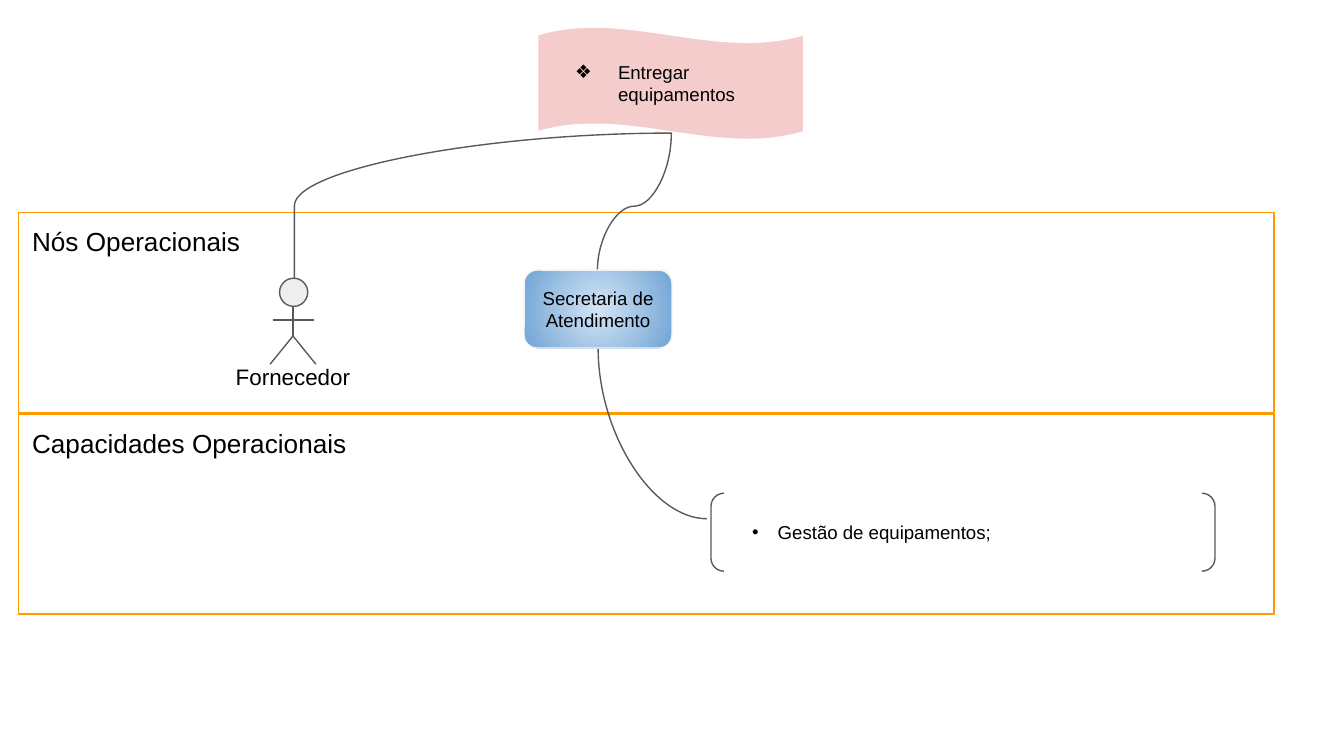
"""Build the slide relating equipment delivery to operational nodes and capabilities."""
from dataclasses import dataclass
from typing import Optional

import pptx
import pptx.dml.color
import pptx.enum.shapes
import pptx.enum.text
import pptx.oxml
import pptx.oxml.ns
import pptx.util

Inches = pptx.util.Inches
Pt = pptx.util.Pt
RGBColor = pptx.dml.color.RGBColor
Geometry = pptx.enum.shapes.MSO_SHAPE
Connector = pptx.enum.shapes.MSO_CONNECTOR
Anchor = pptx.enum.text.MSO_ANCHOR
Align = pptx.enum.text.PP_ALIGN
qn = pptx.oxml.ns.qn

FONT = "Arial"
BLACK = RGBColor(0x00, 0x00, 0x00)
WHITE = RGBColor(0xFF, 0xFF, 0xFF)
ORANGE = RGBColor(0xFF, 0x99, 0x00)
PINK = RGBColor(0xF4, 0xCC, 0xCC)
GRAY = RGBColor(0x59, 0x59, 0x59)
LIGHT_GRAY = RGBColor(0xEE, 0xEE, 0xEE)
PALE_GRAY = RGBColor(0xF3, 0xF3, 0xF3)
PALE_BLUE = RGBColor(0xD4, 0xE5, 0xF5)
BLUE = RGBColor(0x70, 0xA4, 0xD5)


@dataclass(frozen=True)
class Bullet:
    symbol: str
    margin: float
    indent: float


@dataclass(frozen=True)
class Block:
    geometry: Geometry
    left: float
    top: float
    width: float
    height: float
    line: RGBColor
    fill: Optional[RGBColor] = None
    text: str = ""
    size: int = 10
    anchor: Anchor = Anchor.MIDDLE
    align: Align = Align.LEFT
    bullet: Optional[Bullet] = None
    adjustment: Optional[float] = None


@dataclass(frozen=True)
class Curve:
    left: float
    top: float
    width: float
    height: float
    rotation: int
    flipped: bool
    preset: str = "curvedConnector3"
    bend: Optional[int] = None


LANE_HEIGHT = 1.49
LANES = [
    Block(Geometry.RECTANGLE, 0.14, top, 9.34, LANE_HEIGHT, ORANGE,
          text=title, size=14, anchor=Anchor.TOP)
    for top, title in ((1.58, "Nós Operacionais"), (3.08, "Capacidades Operacionais"))
]
DELIVERY = Block(Geometry.WAVE, 4, 0.2, 1.98, 0.84, WHITE, PINK, "Entregar equipamentos",
                 bullet=Bullet("❖", 0.5, -0.32), adjustment=0.07)
HEAD = Block(Geometry.FLOWCHART_CONNECTOR, 2.08, 2.07, 0.21, 0.21, GRAY, LIGHT_GRAY)
LIMBS = [
    (2.18, 2.28, 2.18, 2.5),
    (2.03, 2.38, 2.34, 2.38),
    (2.18, 2.5, 2.01, 2.71),
    (2.18, 2.5, 2.35, 2.71),
]
CAPABILITY = Block(Geometry.DOUBLE_BRACKET, 5.29, 3.67, 3.75, 0.58, GRAY,
                   text="Gestão de equipamentos;", bullet=Bullet("•", 0.37, -0.19))
OFFICE = Block(Geometry.ROUNDED_RECTANGLE, 3.9, 2.01, 1.1, 0.58, PALE_GRAY, BLUE,
               "Secretaria de Atendimento", align=Align.CENTER, adjustment=0.167)
OFFICE_TO_DELIVERY = Curve(4.21, 1.23, 1.02, 0.55, 270, False, bend=47200)
SUPPLIER_TO_DELIVERY = Curve(2.19, 0.99, 2.81, 1.08, 180, True, bend=0)
OFFICE_TO_CAPABILITY = Curve(4.22, 2.82, 1.27, 0.81, 270, True, "curvedConnector2")


def add_bullet(paragraph, bullet: Bullet, size: int) -> None:
    properties = paragraph._p.get_or_add_pPr()
    properties.set("marL", str(Inches(bullet.margin)))
    properties.set("indent", str(Inches(bullet.indent)))
    namespace = pptx.oxml.ns.nsdecls("a")
    properties.append(pptx.oxml.parse_xml(
        f'<a:buClr {namespace}><a:srgbClr val="{BLACK}"/></a:buClr>'))
    for tag, name, value in (("a:buSzPts", "val", str(size * 100)),
                             ("a:buFont", "typeface", FONT),
                             ("a:buChar", "char", bullet.symbol)):
        properties.append(properties.makeelement(qn(tag), {name: value}))


def write_text(frame, text: str, size: int, anchor: Anchor, align: Align) -> None:
    frame.word_wrap = True
    frame.vertical_anchor = anchor
    frame.margin_left = frame.margin_right = Inches(0.1)
    frame.margin_top = frame.margin_bottom = Inches(0.1)
    frame.text = text
    paragraph = frame.paragraphs[0]
    paragraph.alignment = align
    font = paragraph.runs[0].font
    font.name, font.size, font.color.rgb = FONT, Pt(size), BLACK


def add_block(shapes, block: Block):
    shape = shapes.add_shape(block.geometry, Inches(block.left), Inches(block.top),
                             Inches(block.width), Inches(block.height))
    shape.shadow.inherit = False
    if block.adjustment is not None:
        shape.adjustments[0] = block.adjustment
    if block.fill is None:
        shape.fill.background()
    else:
        shape.fill.solid()
        shape.fill.fore_color.rgb = block.fill
    shape.line.color.rgb, shape.line.width = block.line, Pt(0.75)
    if block.text:
        write_text(shape.text_frame, block.text, block.size, block.anchor, block.align)
    if block.bullet:
        add_bullet(shape.text_frame.paragraphs[0], block.bullet, block.size)
    return shape


def add_radial_fill(shape, center: RGBColor, edge: RGBColor) -> None:
    solid = shape._element.spPr.find(qn("a:solidFill"))
    gradient = pptx.oxml.parse_xml(
        f'<a:gradFill {pptx.oxml.ns.nsdecls("a")} rotWithShape="1"><a:gsLst>'
        f'<a:gs pos="0"><a:srgbClr val="{center}"/></a:gs>'
        f'<a:gs pos="100000"><a:srgbClr val="{edge}"/></a:gs></a:gsLst>'
        '<a:path path="circle"><a:fillToRect l="50000" t="50000" r="50000" b="50000"/>'
        '</a:path></a:gradFill>')
    solid.getparent().replace(solid, gradient)


def add_line(shapes, kind: Connector, x1: float, y1: float, x2: float, y2: float):
    line = shapes.add_connector(kind, Inches(x1), Inches(y1), Inches(x2), Inches(y2))
    line.line.color.rgb, line.line.width = GRAY, Pt(0.75)
    properties = line._element.spPr
    properties.append(properties.makeelement(qn("a:effectLst"), {}))
    return line


def add_curve(shapes, curve: Curve) -> None:
    line = add_line(shapes, Connector.CURVE, curve.left, curve.top,
                    curve.left + curve.width, curve.top + curve.height)
    properties = line._element.spPr
    transform = properties.find(qn("a:xfrm"))
    transform.set("rot", str(curve.rotation * 60000))
    if curve.flipped:
        transform.set("flipH", "1")
    geometry = properties.find(qn("a:prstGeom"))
    geometry.set("prst", curve.preset)
    if curve.bend is not None:
        guides = geometry.find(qn("a:avLst"))
        guides.append(guides.makeelement(
            qn("a:gd"), {"name": "adj1", "fmla": f"val {curve.bend}"}))


def add_supplier(shapes) -> None:
    supplier = shapes.add_group_shape().shapes
    add_block(supplier, HEAD)
    for limb in LIMBS:
        add_line(supplier, Connector.STRAIGHT, *limb)
    label = supplier.add_textbox(Inches(1.62), Inches(2.6), Inches(1.12), Inches(0.37))
    write_text(label.text_frame, "Fornecedor", 12, Anchor.TOP, Align.CENTER)


def main() -> None:
    deck = pptx.Presentation()
    deck.slide_width, deck.slide_height = Inches(10), Inches(10 * 9 / 16)
    shapes = deck.slides.add_slide(deck.slide_layouts[6]).shapes
    nodes_lane, capabilities_lane = LANES
    add_block(shapes, nodes_lane)
    add_block(shapes, DELIVERY)
    add_supplier(shapes)
    add_curve(shapes, OFFICE_TO_DELIVERY)
    add_block(shapes, capabilities_lane)
    add_curve(shapes, SUPPLIER_TO_DELIVERY)
    add_curve(shapes, OFFICE_TO_CAPABILITY)
    add_block(shapes, CAPABILITY)
    add_radial_fill(add_block(shapes, OFFICE), PALE_BLUE, BLUE)
    deck.save("out.pptx")


if __name__ == "__main__":
    main()
